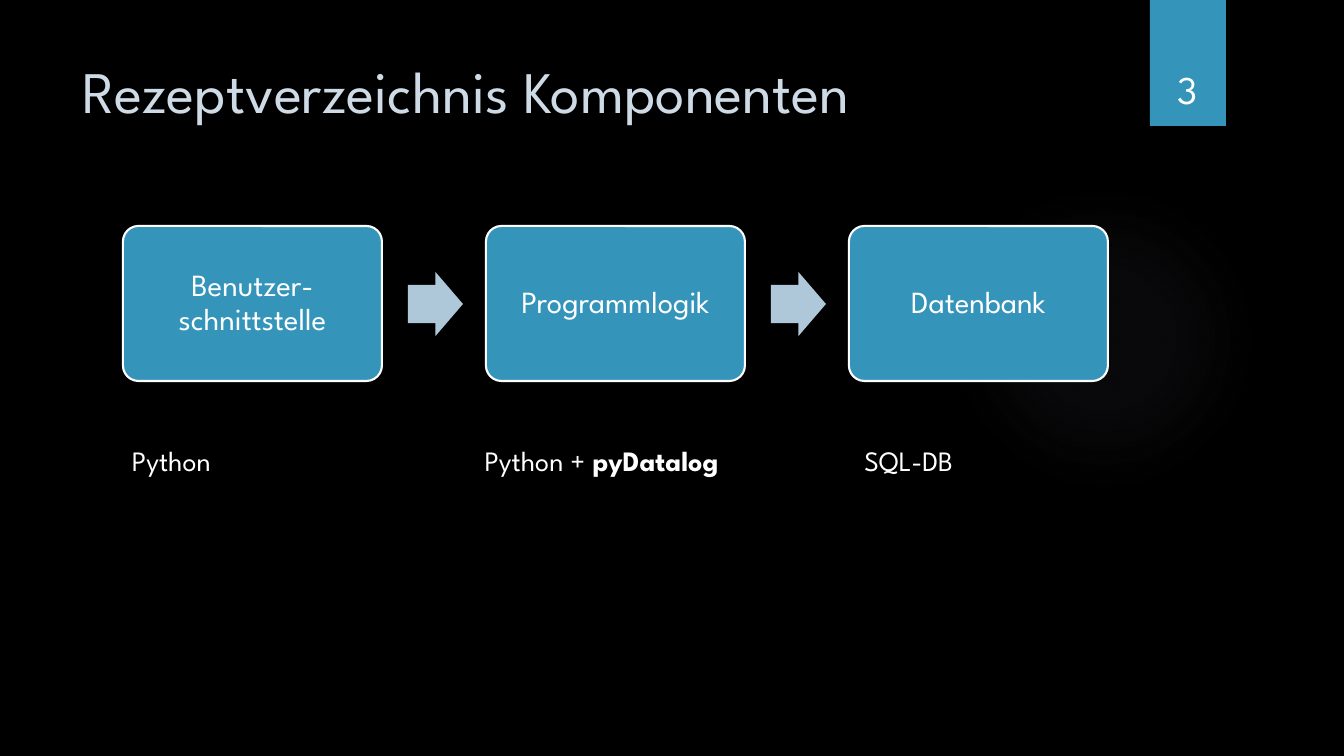
from lxml.etree import fromstring
from pptx import Presentation
from pptx.dml.color import RGBColor as RGB
from pptx.enum.shapes import MSO_SHAPE as Shape
from pptx.enum.text import MSO_ANCHOR as Anchor, MSO_AUTO_SIZE as Fit, PP_ALIGN as Align
from pptx.oxml.ns import qn
from pptx.util import Pt

SCALE = 12192000 / 1344
FONT = "League Spartan"
HUES = {"back": "000000", "blue": "3494BA", "pale": "AEC8D9",
        "title": "CEDBE6", "white": "FFFFFF", "glow": "7F7B9A"}
STEPS = ["Benutzer-schnittstelle", "Programmlogik", "Datenbank"]
# Each label: indent in px and its (text, bold) runs
LABELS = [(0, [("Python", False)]),
          (0, [("Python + ", False), ("pyDatalog", True)]),
          (27, [("SQL-DB", False)])]
LEFT, PITCH = 123, 363


def px(num):
    return round(num * SCALE)


def hue(name):
    return RGB.from_string(HUES[name])


def apply(item, **form):
    for key, value in form.items():
        setattr(item, key, value)


def write(para, runs, size, color, **form):
    """Add (text, bold) runs to a paragraph and format them."""
    apply(para, **form)
    for text, bold in runs:
        run = para.add_run()
        run.text = text
        apply(run.font, name=FONT, size=Pt(size), bold=bold)
        run.font.color.rgb = hue(color)


def add_form(slide, kind, box, color, *adjust):
    form = slide.shapes.add_shape(kind, *map(px, box))
    form.shadow.inherit = False
    form.fill.solid()
    form.fill.fore_color.rgb = hue(color)
    form.line.fill.background()
    for i, value in enumerate(adjust):
        form.adjustments[i] = value
    return form


def add_glow(slide):
    """Draw the faint round light that fades out to its rim."""
    form = add_form(slide, Shape.OVAL, (949, 184, 310, 310), "glow")
    stops = "".join(
        f'<a:gs pos="{pos}000"><a:srgbClr val="{HUES["glow"]}">'
        f'<a:alpha val="{alpha}000"/></a:srgbClr></a:gs>'
        for pos, alpha in [(0, 7), (36, 6), (69, 0), (100, 0)])
    grad = fromstring(
        '<a:gradFill xmlns:a="http://schemas.openxmlformats.org/drawingml/2006/main">'
        f'<a:gsLst>{stops}</a:gsLst><a:path path="circle">'
        '<a:fillToRect l="50000" t="50000" r="50000" b="50000"/></a:path></a:gradFill>')
    props = form.element.spPr
    props.replace(props.find(qn("a:solidFill")), grad)


def add_badge(slide, text):
    form = add_form(slide, Shape.RECTANGLE, (1150, 0, 76, 126), "blue")
    frame = form.text_frame
    apply(frame, vertical_anchor=Anchor.BOTTOM, margin_bottom=px(14))
    write(frame.paragraphs[0], [(text, False)], 28, "white", alignment=Align.CENTER)


def set_title(slide, text):
    title = slide.shapes.title
    apply(title, left=px(72), top=px(50), width=px(1037), height=px(156))
    frame = title.text_frame
    apply(frame, vertical_anchor=Anchor.TOP, word_wrap=True, auto_size=Fit.NONE)
    write(frame.paragraphs[0], [(text, False)], 42, "title", alignment=Align.LEFT)


def add_step(slide, left, text):
    form = add_form(slide, Shape.ROUNDED_RECTANGLE, (left, 226, 259, 155), "blue", 0.1)
    form.line.color.rgb = hue("white")
    form.line.width = Pt(1.5)
    frame = form.text_frame
    apply(frame, vertical_anchor=Anchor.MIDDLE, word_wrap=True,
          margin_left=px(14), margin_right=px(14))
    write(frame.paragraphs[0], [(text, False)], 22, "white",
          alignment=Align.CENTER, line_spacing=0.9)


def add_labels(slide):
    """Set the labels in one text box, a column for each."""
    frame = slide.shapes.add_textbox(*map(px, (122, 439, 1078, 44))).text_frame
    apply(frame, word_wrap=True, auto_size=Fit.SHAPE_TO_FIT_TEXT)
    frame._txBody.bodyPr.set("numCol", str(len(LABELS)))
    for i, (indent, runs) in enumerate(LABELS):
        para = frame.add_paragraph() if i else frame.paragraphs[0]
        write(para, runs, 20, "white")
        para._p.get_or_add_pPr().set("marL", str(px(indent)))


def main():
    deck = Presentation()
    apply(deck, slide_width=px(1344), slide_height=px(756))
    slide = deck.slides.add_slide(deck.slide_layouts[5])
    back = slide.background.fill
    back.solid()
    back.fore_color.rgb = hue("back")

    add_glow(slide)
    add_badge(slide, "3")
    set_title(slide, "Rezeptverzeichnis Komponenten")
    for i, text in enumerate(STEPS):
        left = LEFT + i * PITCH
        add_step(slide, left, text)
        if i < len(STEPS) - 1:
            add_form(slide, Shape.RIGHT_ARROW, (left + 285, 272, 55, 64), "pale", 0.6, 0.5)
    add_labels(slide)
    deck.save("out.pptx")


if __name__ == "__main__":
    main()
